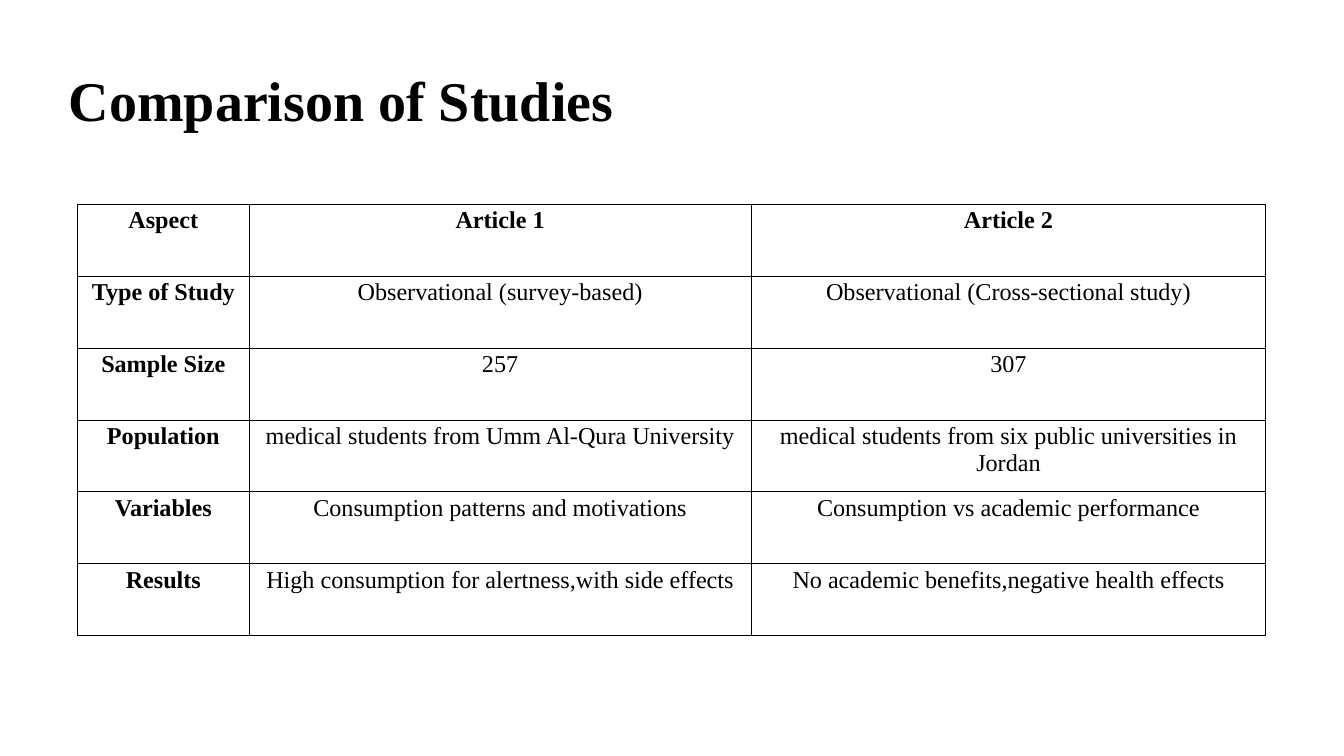
from dataclasses import dataclass

from lxml.etree import SubElement
from pptx import Presentation
from pptx.dml.color import RGBColor as RGB
from pptx.enum.text import MSO_ANCHOR as Anchor, MSO_AUTO_SIZE as AutoSize, PP_ALIGN as Align
from pptx.oxml.ns import qn
from pptx.util import Pt

PX = 9525
TITLE_ONLY = 5
COLUMNS = (269, 789, 808)
ROW_HEIGHT = 113
STUDIES = (
    ("Aspect", "Article 1", "Article 2"),
    ("Type of Study", "Observational (survey-based)", "Observational (Cross-sectional study)"),
    ("Sample Size", "257", "307"),
    ("Population", "medical students from Umm Al-Qura University",
     "medical students from six public universities in Jordan"),
    ("Variables", "Consumption patterns and motivations", "Consumption vs academic performance"),
    ("Results", "High consumption for alertness,with side effects",
     "No academic benefits,negative health effects"),
)


@dataclass(frozen=True)
class Theme:
    font: str = "Times New Roman"
    ink: str = "000000"
    paper: str = "FFFFFF"
    title: float = 66
    cell: float = 28.5
    border: float = 0.96


class Deck:
    """Draws styled elements on the current slide, with lengths in px."""

    def __init__(self, theme, width, height):
        self.theme = theme
        self.prs = Presentation()
        self.prs.slide_width, self.prs.slide_height = width * PX, height * PX
        self.s = self.prs.slides.add_slide(self.prs.slide_layouts[TITLE_ONLY])
        fill = self.s.background.fill
        fill.solid()
        fill.fore_color.rgb = RGB.from_string(theme.paper)

    def style(self, p, size, bold, align):
        p.alignment = align
        font = p.font
        font.name, font.size, font.bold = self.theme.font, Pt(size), bold
        font.color.rgb = RGB.from_string(self.theme.ink)

    def title(self, text, x, y, w, h, inset_top):
        sp = self.s.shapes.title
        sp.left, sp.top, sp.width, sp.height = (v * PX for v in (x, y, w, h))
        tf = sp.text_frame
        tf.text = text
        tf.word_wrap = True
        tf.auto_size = AutoSize.NONE
        tf.vertical_anchor = Anchor.TOP
        tf.margin_left = tf.margin_right = tf.margin_bottom = 0
        tf.margin_top = inset_top * PX
        self.style(tf.paragraphs[0], self.theme.title, True, Align.LEFT)

    def borders(self, cell):
        tc_pr = cell._tc.get_or_add_tcPr()
        for side in ("a:lnL", "a:lnR", "a:lnT", "a:lnB"):
            ln = SubElement(tc_pr, qn(side), w=str(Pt(self.theme.border)))
            SubElement(SubElement(ln, qn("a:solidFill")), qn("a:srgbClr"), val=self.theme.ink)

    def table(self, rows, x, y, columns, row_height):
        frame = self.s.shapes.add_table(len(rows), len(columns), x * PX, y * PX,
                                        sum(columns) * PX, len(rows) * row_height * PX)
        table = frame.table
        table.first_row = table.horz_banding = False
        for column, width in zip(table.columns, columns):
            column.width = width * PX
        for i, row in enumerate(rows):
            for j, text in enumerate(row):
                cell = table.cell(i, j)
                cell.text = text
                self.borders(cell)
                cell.fill.background()
                self.style(cell.text_frame.paragraphs[0], self.theme.cell,
                           i == 0 or j == 0, Align.CENTER)

    def save(self):
        self.prs.save("out.pptx")


def main():
    deck = Deck(Theme(), 2111, 1188)
    deck.title("Comparison of Studies", 108, 92, 1391, 200, 11)
    deck.table(STUDIES, 122, 321, COLUMNS, ROW_HEIGHT)
    deck.save()


if __name__ == "__main__":
    main()
